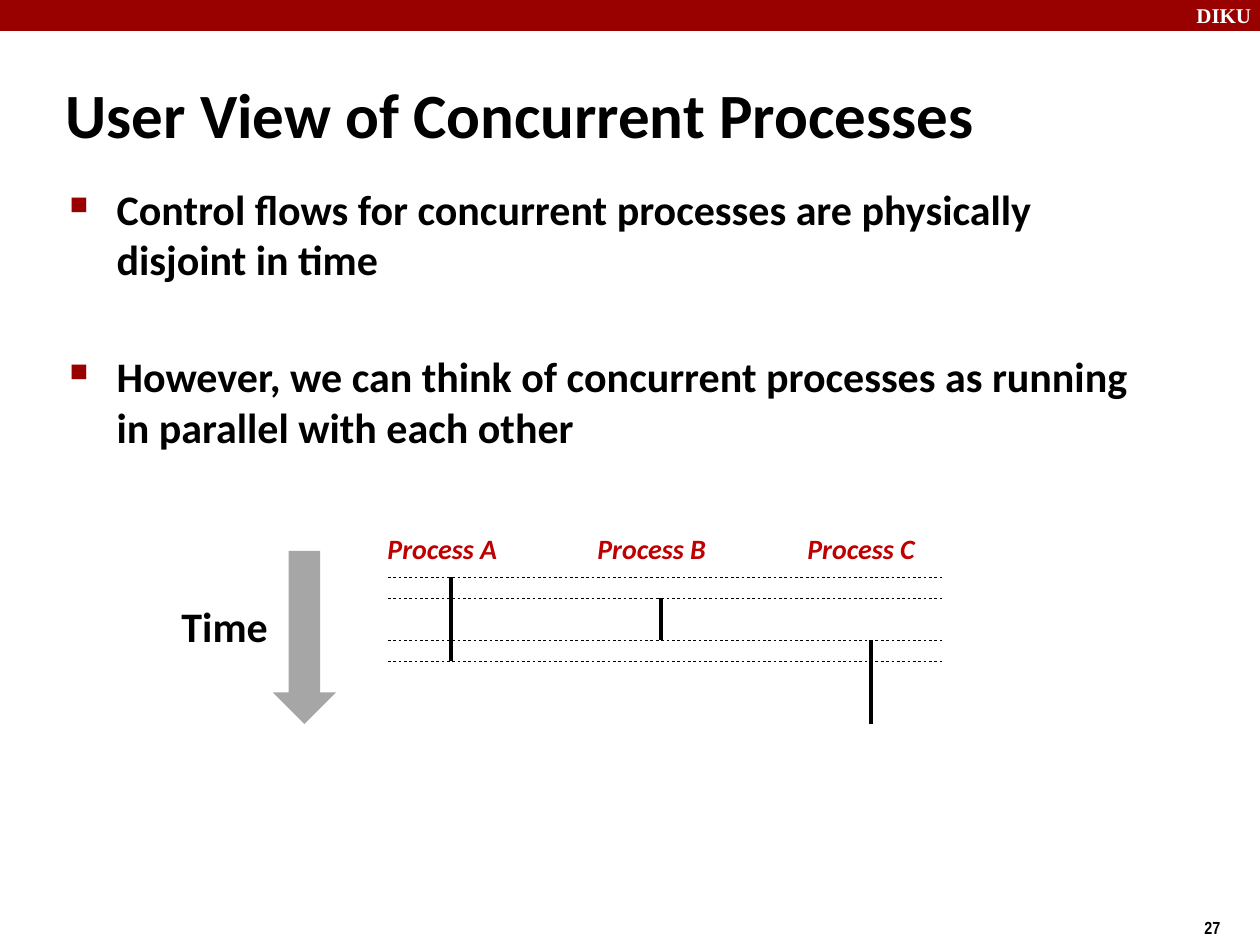
from lxml import etree
from pptx import Presentation
from pptx.dml.color import RGBColor
from pptx.enum.shapes import MSO_CONNECTOR, MSO_SHAPE
from pptx.enum.text import MSO_ANCHOR, MSO_AUTO_SIZE, PP_ALIGN
from pptx.oxml.ns import qn
from pptx.util import Pt

RECTANGLE, DOWN_ARROW = MSO_SHAPE.RECTANGLE, MSO_SHAPE.DOWN_ARROW
STRAIGHT = MSO_CONNECTOR.STRAIGHT
LEFT, TOP, MIDDLE = PP_ALIGN.LEFT, MSO_ANCHOR.TOP, MSO_ANCHOR.MIDDLE
NO_AUTOFIT = MSO_AUTO_SIZE.NONE

# Content
TITLE = "User View of Concurrent Processes"
BULLETS = [
    "Control flows for concurrent processes are physically disjoint in time",
    "However, we can think of concurrent processes as running in parallel with each other",
]
# Each process runs in intervals of (first row, last row) on the time grid
PROCESSES = [
    ("Process A", [(0, 2), (2, 4)]),
    ("Process B", [(1, 3)]),
    ("Process C", [(3, 5), (5, 7)]),
]
SWITCH_ROWS = [0, 1, 3, 4]

# Theme
BLACK, WHITE = RGBColor(0, 0, 0), RGBColor(255, 255, 255)
THEME = {
    "banner": RGBColor(0x99, 0, 0),
    "arrow": RGBColor(0xA6, 0xA6, 0xA6),
    "title": {"name": "Calibri", "size": Pt(36), "bold": True, "color": BLACK},
    "body": {"name": "Calibri", "size": Pt(24), "bold": True, "color": BLACK},
    "process": {"name": "Calibri", "size": Pt(16), "bold": True, "italic": True,
                "color": RGBColor(0xC0, 0, 0)},
    "brand": {"name": "Times New Roman", "size": Pt(12), "bold": True, "color": WHITE},
    "number": {"name": "Arial Narrow", "size": Pt(10), "bold": True, "color": BLACK},
}

# Layout in px
PX = 914400 / 126
GRID_TOP, ROW = 577, 21
COLUMN_LEFT, COLUMN_STEP = 451, 210
LABEL_OFFSET, LABEL_TOP = -76, 525
GUIDE_LEFT, GUIDE_RIGHT = 388, 945
BULLET_INDENT, BULLET_GAP = 47, Pt(38)


def emu(*lengths):
    return [round(length * PX) for length in lengths]


def row_y(row):
    return GRID_TOP + row * ROW


def set_font(font, style):
    for name, value in style.items():
        if name == "color":
            font.color.rgb = value
        else:
            setattr(font, name, value)


def place(shape, box):
    for name, value in zip(("left", "top", "width", "height"), emu(*box)):
        setattr(shape, name, value)


def add_shape(slide, kind, box, color):
    shape = slide.shapes.add_shape(kind, *emu(*box))
    shape.shadow.inherit = False
    shape.fill.solid()
    shape.fill.fore_color.rgb = color
    shape.line.fill.background()


def add_label(slide, text, box, style):
    frame = slide.shapes.add_textbox(*emu(*box)).text_frame
    frame.word_wrap = False
    frame.text = text
    set_font(frame.paragraphs[0].runs[0].font, style)


def add_line(slide, start, end, width, dotted=False):
    line = slide.shapes.add_connector(STRAIGHT, *emu(*start, *end))
    line.line.color.rgb = BLACK
    line.line.width = Pt(width)
    if dotted:
        # Dots and gaps of six line widths stay apart on a hairline
        dashes = etree.SubElement(line.line._get_or_add_ln(), qn("a:custDash"))
        etree.SubElement(dashes, qn("a:ds"), d="600000", sp="600000")
    etree.SubElement(line._element.spPr, qn("a:effectLst"))


def add_bullet(paragraph):
    properties = paragraph._p.get_or_add_pPr()
    indent, = emu(BULLET_INDENT)
    properties.set("marL", str(indent))
    properties.set("indent", str(-indent))
    color = etree.SubElement(properties, qn("a:buClr"))
    etree.SubElement(color, qn("a:srgbClr"), val=str(THEME["banner"]))
    etree.SubElement(properties, qn("a:buSzPct"), val="60000")
    # The letter n is a filled square in Wingdings
    etree.SubElement(properties, qn("a:buFont"), typeface="Wingdings", charset="2")
    etree.SubElement(properties, qn("a:buChar"), char="n")


def fill_placeholder(placeholder, box, texts, style, anchor):
    place(placeholder, box)
    frame = placeholder.text_frame
    frame.text = "\n".join(texts)
    for name, value in {"word_wrap": True, "auto_size": NO_AUTOFIT,
                        "vertical_anchor": anchor}.items():
        setattr(frame, name, value)
    for paragraph in frame.paragraphs:
        paragraph.alignment = LEFT
        paragraph.space_before = Pt(0)
        set_font(paragraph.runs[0].font, style)
    return frame


def main():
    presentation = Presentation()
    presentation.slide_width, presentation.slide_height = emu(1260, 945)
    slide = presentation.slides.add_slide(presentation.slide_layouts[1])

    # Banner and slide number
    add_shape(slide, RECTANGLE, (0, 0, 1260, 31), THEME["banner"])
    add_label(slide, "DIKU", (1184, -4, 84, 38), THEME["brand"])
    add_label(slide, "27", (1192, 911, 94, 34), THEME["number"])

    # Title and bullets
    title, body = slide.placeholders
    fill_placeholder(title, (53, 74, 1166, 79), [TITLE], THEME["title"], MIDDLE)
    frame = fill_placeholder(body, (57, 177, 1089, 275), BULLETS, THEME["body"], TOP)
    for index, paragraph in enumerate(frame.paragraphs):
        paragraph.space_before = BULLET_GAP if index else Pt(0)
        add_bullet(paragraph)

    # Process timelines
    for index, (name, intervals) in enumerate(PROCESSES):
        x = COLUMN_LEFT + index * COLUMN_STEP
        add_label(slide, name, (x + LABEL_OFFSET, LABEL_TOP, 142, 47), THEME["process"])
        for first, last in intervals:
            add_line(slide, (x, row_y(first)), (x, row_y(last)), 2)

    # Context switch guides
    for row in SWITCH_ROWS:
        y = row_y(row)
        add_line(slide, (GUIDE_LEFT, y), (GUIDE_RIGHT, y), 0.25, dotted=True)

    # Time direction
    add_label(slide, "Time", (169, 594, 120, 63), THEME["body"])
    add_shape(slide, DOWN_ARROW, (273, 551, 63, 173), THEME["arrow"])

    presentation.save("out.pptx")


if __name__ == "__main__":
    main()
